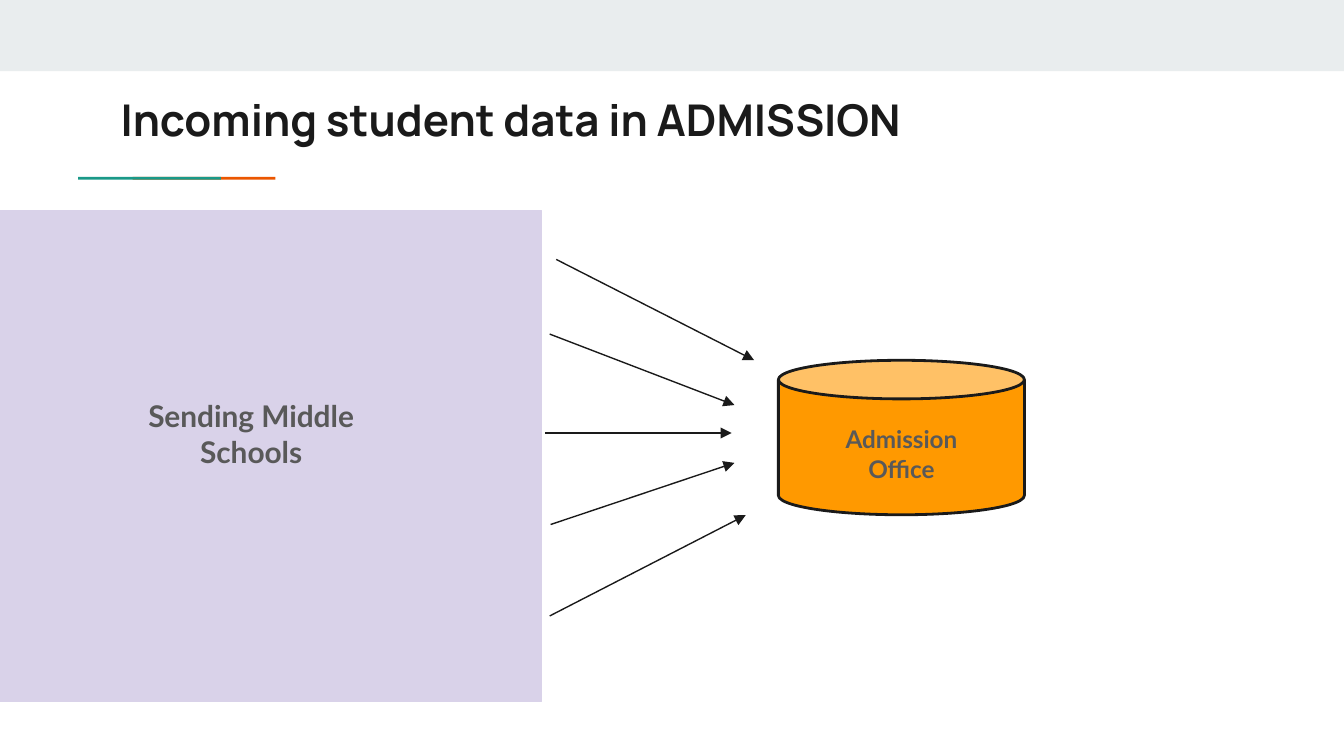
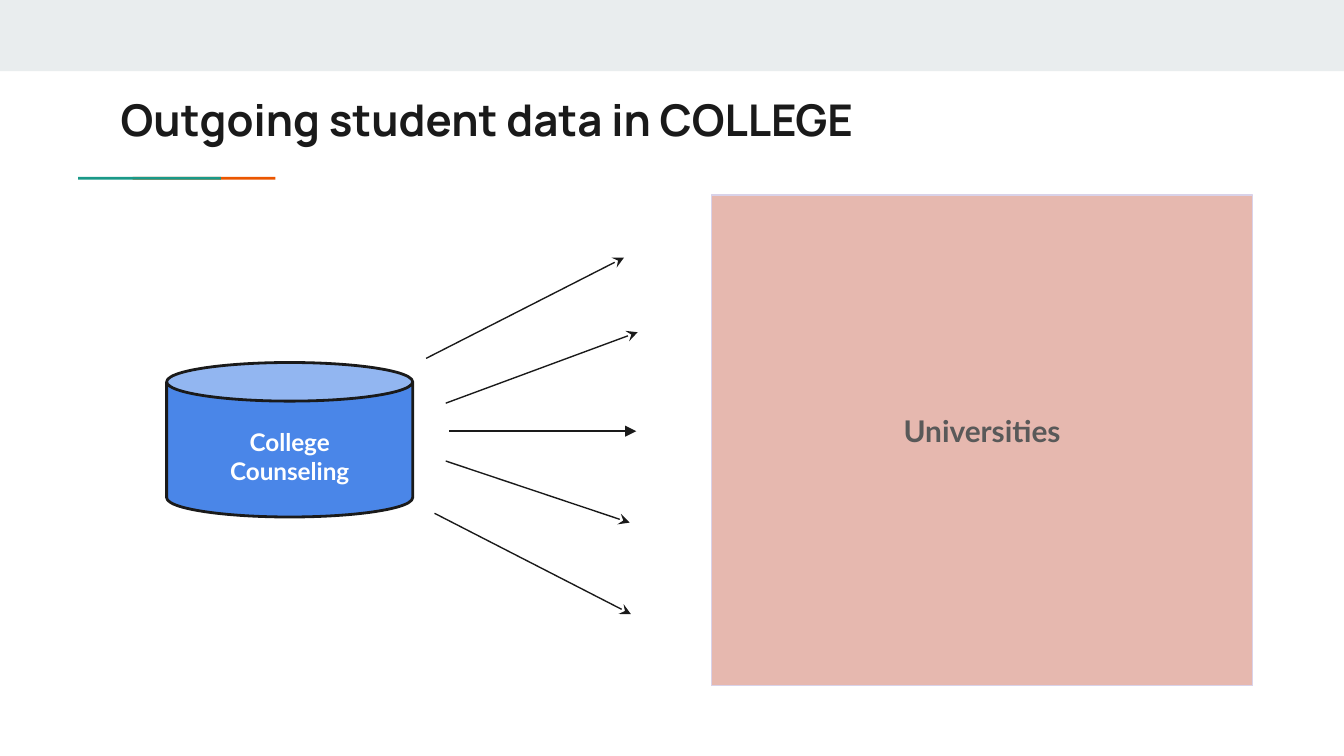
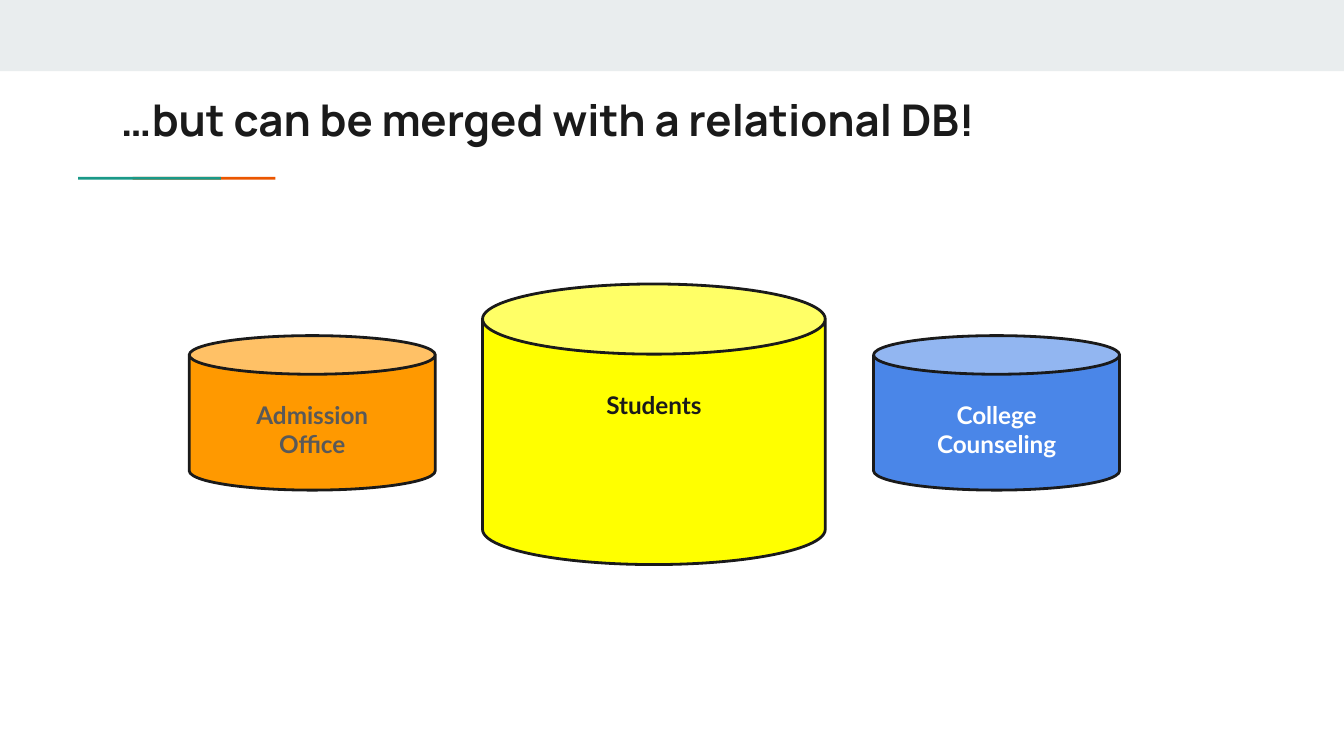
from pptx import Presentation
from pptx.dml.color import RGBColor as Rgb
from pptx.enum.shapes import MSO_CONNECTOR as Link, MSO_SHAPE as Form
from pptx.enum.text import MSO_ANCHOR as Anchor, PP_ALIGN as Align
from pptx.oxml.ns import qn
from pptx.util import Pt
from lxml.etree import SubElement as Sub

HUES = {
    "band": "E9EDEE", "teal": "1A9988", "rust": "EB5600", "ink": "1A1A1A",
    "gray": "595959", "white": "FFFFFF", "orange": "FF9900", "blue": "4A86E8",
    "yellow": "FFFF00", "lilac": "D9D2E9", "rose": "E6B8AF",
}
WIDE, HIGH = 720, 405
CAN = (131.8, 82.8)
PANEL = (290, 263)
FAN = (112, 191)
FAR = (0, 40, 93, 142, 191)
NEAR = (54, 78, 93, 109, 137)
DIPS = (0, 10.5, 12, 10.5, 4.5)
OFFICE = ("Admission Office", "orange", "gray")
COLLEGE = ("College Counseling", "blue", "white")


def hue(name):
    return Rgb.from_string(HUES[name])


def draw(shapes, form, box, fill, edge=None, width=0.75):
    shape = shapes.add_shape(form, *map(Pt, box))
    shape.shadow.inherit = False
    shape.fill.solid()
    shape.fill.fore_color.rgb = hue(fill)
    if edge:
        shape.line.color.rgb = hue(edge)
        shape.line.width = Pt(width)
    else:
        shape.line.fill.background()
    return shape


def write(shapes, box, text, size, font, ink, align=Align.CENTER):
    frame = shapes.add_textbox(*map(Pt, box)).text_frame
    frame.word_wrap = True
    frame.vertical_anchor = Anchor.TOP
    frame.margin_left = frame.margin_right = Pt(7.2)
    frame.margin_top = frame.margin_bottom = Pt(7.2)
    line = frame.paragraphs[0]
    line.alignment = align
    run = line.add_run()
    run.text = text
    run.font.name = font
    run.font.size = Pt(size)
    run.font.bold = True
    run.font.color.rgb = hue(ink)


def start(deck, title):
    shapes = deck.slides.add_slide(deck.slide_layouts[6]).shapes
    draw(shapes, Form.RECTANGLE, (0, 0, WIDE, 38.2), "band")
    for left, fill in ((71, "rust"), (41.8, "teal")):
        draw(shapes, Form.RECTANGLE, (left, 94.7, 76.5, 1.5), fill)
    write(shapes, (57.6, 42.5, 605.5, 42.5), title, 23.4, "Manrope", "ink", Align.LEFT)
    return shapes


def store(shapes, box, text, fill, ink):
    left, top, wide, high = box
    group = shapes.add_group_shape().shapes
    can = draw(group, Form.CAN, box, fill, "ink", 1.5)
    can.adjustments[0] = 0.25
    rows = len(text.split())
    label = (left + 0.18 * wide, top + 0.33 * high, 0.64 * wide, 15.6 * rows + 14.4)
    write(group, label, text, 13, "Lato", ink)


def panel(shapes, box, fill, text, shift, rows):
    left, top = box[:2]
    draw(shapes, Form.RECTANGLE, box, fill, "lilac")
    label = (left + shift[0], top + shift[1], 144, 19.2 * rows + 14.4)
    write(shapes, label, text, 16, "Lato", "gray")


def arrow(shapes, start, end, tip, kind):
    line = shapes.add_connector(Link.STRAIGHT, *map(Pt, start + end))
    line.line.color.rgb = hue("ink")
    line.line.width = Pt(0.75)
    Sub(line.line._get_or_add_ln(), qn("a:" + tip), type=kind)
    Sub(line._element.spPr, qn("a:effectLst"))


def fan(shapes, box, gaps, tip, kinds, flip=False):
    left, top, wide, _ = box
    for gap, dip, far, near, kind in zip(gaps, DIPS, FAR, NEAR, kinds):
        begin, end = gap, wide - dip
        if flip:
            begin, end = wide - begin, wide - end
        arrow(shapes, (left + begin, top + far), (left + end, top + near), tip, kind)


def intake(deck):
    shapes = start(deck, "Incoming student data in ADMISSION")
    store(shapes, (417, 193, *CAN), *OFFICE)
    fan(shapes, (292, 139, *FAN), (6, 2.5, 0, 3, 2.5), "tailEnd", ["triangle"] * 5)
    panel(shapes, (0, 112.8, *PANEL), "lilac", "Sending Middle Schools", (62.6, 93), 2)


def outflow(deck):
    shapes = start(deck, "Outgoing student data in COLLEGE")
    store(shapes, (89.3, 194.2, *CAN), *COLLEGE)
    kinds = ["stealth"] * 2 + ["triangle"] + ["stealth"] * 2
    fan(shapes, (228.3, 138, *FAN), (6, -1.3, -0.6, 3, 2.3), "headEnd", kinds, True)
    panel(shapes, (381, 104.4, *PANEL), "rose", "Universities", (73.2, 109.4), 1)


def merger(deck):
    shapes = start(deck, "…but can be merged with a relational DB!")
    store(shapes, (101.4, 179.8, *CAN), *OFFICE)
    store(shapes, (468, 179.8, *CAN), *COLLEGE)
    store(shapes, (258.5, 152.2, 183.6, 150.3), "Students", "yellow", "ink")


def main():
    deck = Presentation()
    deck.slide_width, deck.slide_height = Pt(WIDE), Pt(HIGH)
    for build in (intake, outflow, merger):
        build(deck)
    deck.save("out.pptx")


if __name__ == "__main__":
    main()
